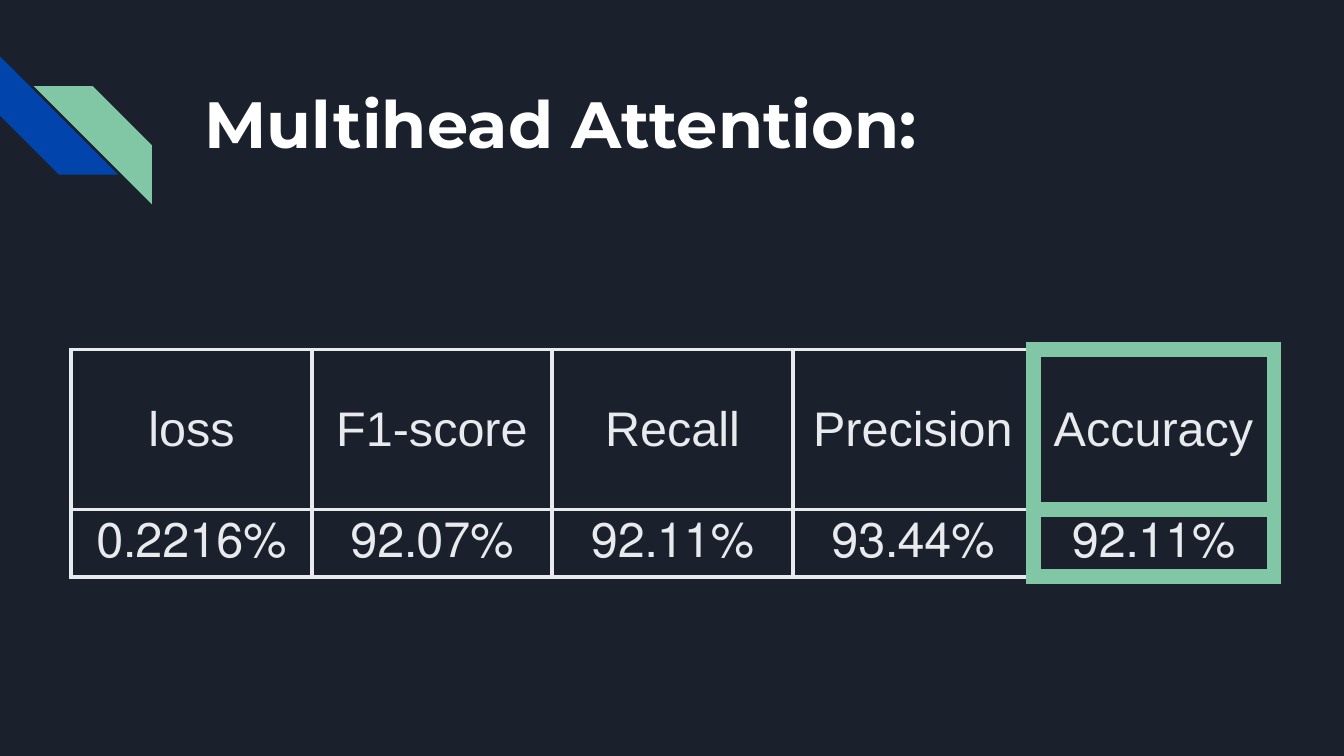
from lxml.etree import SubElement
from pptx import Presentation
from pptx.dml.color import RGBColor
from pptx.enum.shapes import MSO_SHAPE
from pptx.enum.text import MSO_ANCHOR, PP_ALIGN
from pptx.oxml.ns import qn
from pptx.util import Inches, Pt

NAVY, BLUE, GREEN, PALE, WHITE = "1B212C", "0145AC", "82C7A5", "E8EAED", "FFFFFF"
METRICS = [
    ("loss", "0.2216%"),
    ("F1-score", "92.07%"),
    ("Recall", "92.11%"),
    ("Precision", "93.44%"),
    ("Accuracy", "92.11%"),
]


def paint(fill, color):
    """Give a fill one solid colour."""
    fill.solid()
    fill.fore_color.rgb = RGBColor.from_string(color)


def write(frame, text, *, size, font, color, bold=False, align=PP_ALIGN.LEFT, rtl=False):
    """Put one formatted paragraph into a text frame."""
    paragraph = frame.paragraphs[0]
    run = paragraph.add_run()
    run.text = text
    run.font.size = Pt(size)
    run.font.name = font
    run.font.bold = bold
    run.font.color.rgb = RGBColor.from_string(color)
    paragraph.alignment = align
    if rtl:
        paragraph._p.get_or_add_pPr().set("rtl", "1")


def add_stripe(slide, left, top, color, rotation=0, mirrored=False):
    """Draw one diagonal stripe of the corner ornament."""
    stripe = slide.shapes.add_shape(
        MSO_SHAPE.DIAGONAL_STRIPE, Inches(left), Inches(top), Inches(0.88), Inches(0.88)
    )
    stripe.adjustments[0] = 0.5
    stripe.rotation = rotation
    stripe.shadow.inherit = False
    paint(stripe.fill, color)
    stripe.line.fill.background()
    if mirrored:
        stripe._element.spPr.find(qn("a:xfrm")).set("flipH", "1")


def add_title(slide, text):
    """Place and fill the title placeholder."""
    title = slide.shapes.title
    title.left, title.top = Inches(1.42), Inches(0.41)
    title.width, title.height = Inches(7.7), Inches(1)
    frame = title.text_frame
    frame.vertical_anchor = MSO_ANCHOR.MIDDLE
    frame.margin_left = frame.margin_right = Inches(0.1)
    frame.margin_top = frame.margin_bottom = Inches(0.1)
    write(frame, text, size=35, font="Montserrat", color=WHITE, bold=True)


def set_border(cell, side, color, width):
    """Add a solid border to one side of a cell."""
    border = SubElement(cell._tc.get_or_add_tcPr(), qn(f"a:ln{side}"), w=str(Pt(width)))
    fill = SubElement(border, qn("a:solidFill"))
    SubElement(fill, qn("a:srgbClr"), val=color)
    SubElement(border, qn("a:prstDash"), val="solid")


def fill_cell(cell, text, highlighted_sides, rtl):
    """Format one table cell, its text and its borders."""
    cell.vertical_anchor = MSO_ANCHOR.MIDDLE
    cell.margin_left = cell.margin_right = Inches(0.07)
    cell.margin_top = cell.margin_bottom = Inches(0.07)
    for side in "LRTB":
        color, width = (GREEN, 9) if side in highlighted_sides else (PALE, 2.25)
        set_border(cell, side, color, width)
    cell.fill.background()
    write(cell.text_frame, text, size=26, font="Arial", color=PALE,
          align=PP_ALIGN.CENTER, rtl=rtl)


def add_metrics(slide):
    """Build the metrics table with its last column highlighted."""
    count = len(METRICS)
    column_width = Inches(1.79)
    table = slide.shapes.add_table(
        2, count, Inches(0.53), Inches(2.6), column_width * count, Inches(1.2)
    ).table
    table.first_row = table.horz_banding = False
    table.rows[0].height, table.rows[1].height = Inches(1.19), Inches(0.01)
    highlights = {count - 2: "R", count - 1: "LRTB"}
    for column, metric in enumerate(METRICS):
        table.columns[column].width = column_width
        for row, text in enumerate(metric):
            fill_cell(table.cell(row, column), text, highlights.get(column, ""), rtl=row == 1)


def main():
    """Build and save the slide."""
    presentation = Presentation()
    presentation.slide_width = Inches(10)
    presentation.slide_height = Inches(10 * 9 / 16)
    slide = presentation.slides.add_slide(presentation.slide_layouts[5])
    paint(slide.background.fill, NAVY)
    add_stripe(slide, 0, 0.42, BLUE, rotation=270)
    add_stripe(slide, 0.25, 0.64, GREEN, mirrored=True)
    add_metrics(slide)
    add_title(slide, "Multihead Attention:")
    presentation.save("out.pptx")


if __name__ == "__main__":
    main()
